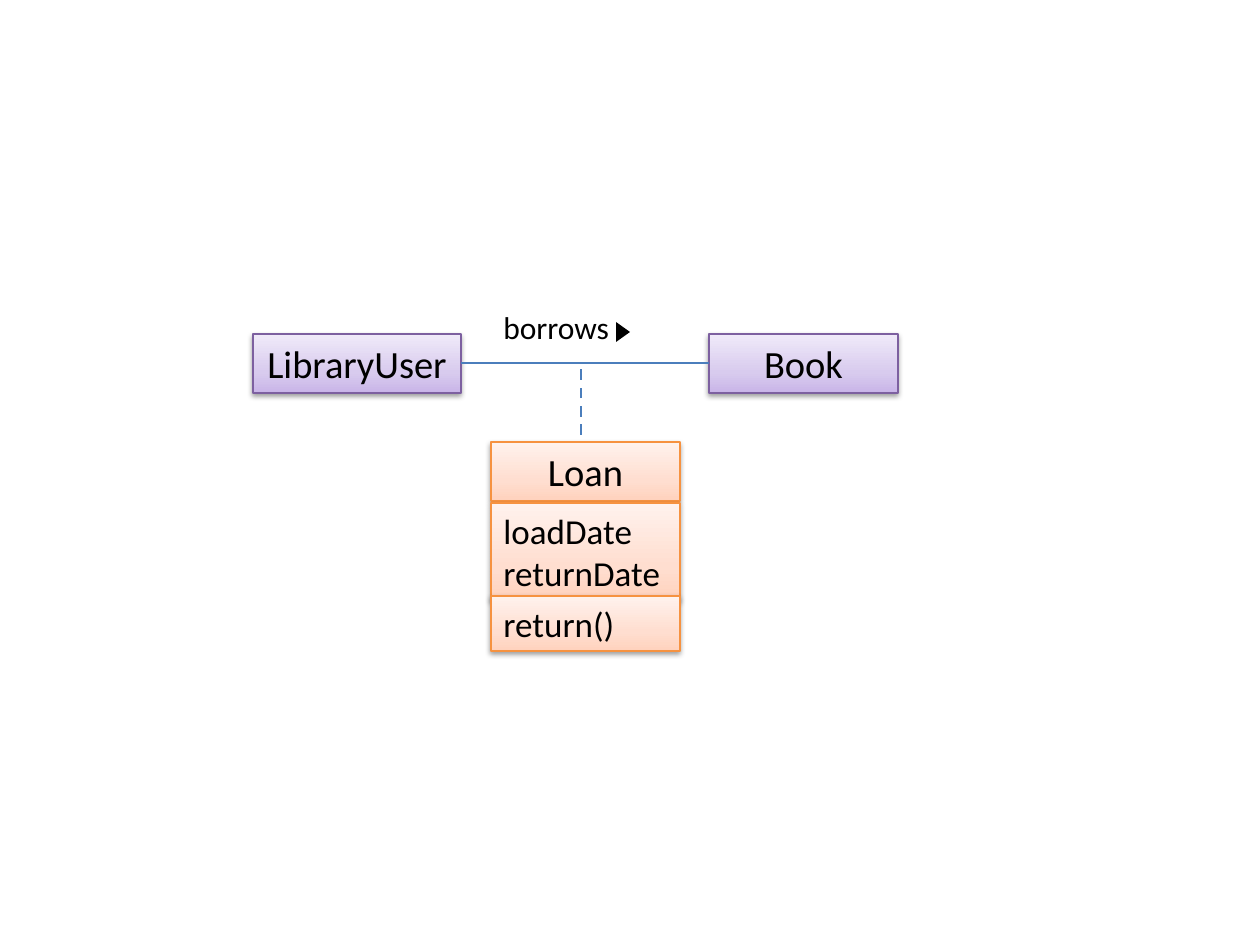
from dataclasses import dataclass
from lxml.etree import SubElement
from pptx import Presentation
from pptx.dml.color import RGBColor as RGB
from pptx.enum.dml import MSO_LINE_DASH_STYLE as DASH
from pptx.enum.shapes import MSO_CONNECTOR as CONN, MSO_SHAPE as SHAPE
from pptx.enum.text import MSO_ANCHOR as ANCHOR, MSO_AUTO_SIZE as FIT, PP_ALIGN as ALIGN
from pptx.oxml.ns import qn
from pptx.util import Emu, Pt

SCALE = 914400 / 126  # EMU in one px


def px(n):
    return Emu(round(n * SCALE))


@dataclass(frozen=True)
class Theme:
    font: str = "Calibri"
    ink: str = "000000"
    link: str = "4B7EBC"
    name_pt: int = 22
    member_pt: int = 20
    label_pt: int = 18
    # Each scheme: outline, then gradient colours from bottom to top
    purple: tuple = ("7D60A0", ("C9B5E8", "D8CBEE", "F0EAF9"))
    orange: tuple = ("F69240", ("FFD2BD", "FFDED0", "FFF2ED"))
    stops: tuple = (0, 35, 100)


class Diagram:
    def __init__(self, slide, theme):
        self.s, self.theme = slide, theme

    def add_text(self, shape, lines, size, align, anchor, wrap):
        tf = shape.text_frame
        frame = {"word_wrap": wrap, "auto_size": FIT.SHAPE_TO_FIT_TEXT, "vertical_anchor": anchor}
        for key, value in frame.items():
            setattr(tf, key, value)
        for i, line in enumerate(lines):
            p = tf.add_paragraph() if i else tf.paragraphs[0]
            p.alignment = align
            r = p.add_run()
            r.text = line
            for key, value in {"name": self.theme.font, "size": Pt(size)}.items():
                setattr(r.font, key, value)
            r.font.color.rgb = RGB.from_string(self.theme.ink)

    def gradient(self, sp, colors):
        sp.fill.gradient()
        sp.fill.gradient_angle = 90
        stops = sp._element.spPr.find(".//" + qn("a:gsLst"))
        for old in list(stops):
            stops.remove(old)
        for pos, color in zip(self.theme.stops, colors):
            gs = SubElement(stops, qn("a:gs"), pos=str(pos * 1000))
            SubElement(gs, qn("a:srgbClr"), val=color)

    def shadow(self, sp):
        sp.shadow.inherit = False
        effects = sp._element.spPr.find(qn("a:effectLst"))
        outer = SubElement(effects, qn("a:outerShdw"), blurRad=str(Pt(3.1)),
                           dist=str(Pt(1.6)), dir="5400000", rotWithShape="0")
        color = SubElement(outer, qn("a:srgbClr"), val=self.theme.ink)
        SubElement(color, qn("a:alpha"), val="38000")

    def box(self, x, y, w, h, lines, scheme, size, align=ALIGN.LEFT):
        outline, colors = scheme
        sp = self.s.shapes.add_shape(SHAPE.RECTANGLE, px(x), px(y), px(w), px(h))
        self.gradient(sp, colors)
        sp.line.color.rgb = RGB.from_string(outline)
        sp.line.width = Pt(0.75)
        self.shadow(sp)
        self.add_text(sp, lines, size, align, ANCHOR.MIDDLE, True)

    def line(self, x1, y1, x2, y2, dash=None):
        cn = self.s.shapes.add_connector(CONN.STRAIGHT, px(x1), px(y1), px(x2), px(y2))
        cn.line.color.rgb = RGB.from_string(self.theme.link)
        cn.line.width = Pt(1.5)
        if dash:
            cn.line.dash_style = dash
        SubElement(cn._element.spPr, qn("a:effectLst"))

    def label(self, x, y, w, h, text):
        sp = self.s.shapes.add_textbox(px(x), px(y), px(w), px(h))
        self.add_text(sp, [text], self.theme.label_pt, ALIGN.LEFT, ANCHOR.TOP, False)

    def pointer(self, x, y, w, h):
        sp = self.s.shapes.add_shape(SHAPE.ISOSCELES_TRIANGLE, px(x), px(y), px(w), px(h))
        sp.rotation = 90
        sp.fill.solid()
        sp.fill.fore_color.rgb = RGB.from_string(self.theme.ink)
        sp.line.fill.background()
        sp.shadow.inherit = False


def main():
    prs = Presentation()
    prs.slide_width, prs.slide_height = px(1260), px(945)
    theme = Theme()
    d = Diagram(prs.slides.add_slide(prs.slide_layouts[6]), theme)

    # Associated classes
    for x, w, name in ((253, 208, "LibraryUser"), (709, 189, "Book")):
        d.box(x, 334, w, 59, [name], theme.purple, theme.name_pt, ALIGN.CENTER)

    # Association class: name, attributes, operations
    for y, h, lines, size, align in (
        (442, 59, ["Loan"], theme.name_pt, ALIGN.CENTER),
        (503, 97, ["loadDate", "returnDate"], theme.member_pt, ALIGN.LEFT),
        (596, 55, ["return()"], theme.member_pt, ALIGN.LEFT),
    ):
        d.box(491, y, 189, h, lines, theme.orange, size, align)

    # Association and its link to the loan
    d.line(461, 363, 709, 363)
    d.line(581, 435, 581, 365, DASH.DASH)

    # Association name and reading direction
    d.label(491, 302, 139, 50, "borrows")
    d.pointer(613, 325, 20, 14)

    prs.save("out.pptx")


if __name__ == "__main__":
    main()
